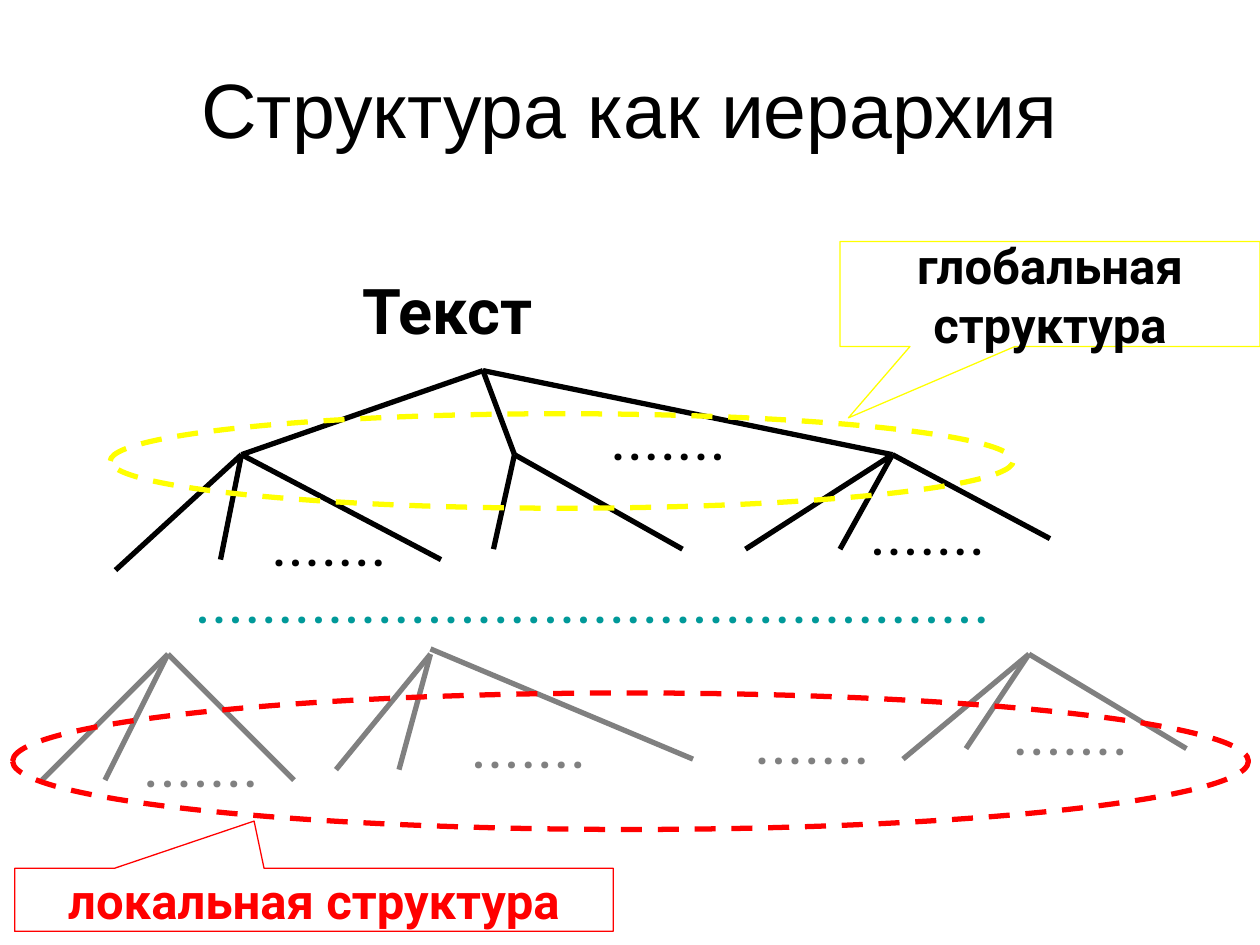
import pptx
import pptx.util
import pptx.dml.color
import pptx.enum.dml
import pptx.enum.shapes
import pptx.enum.text
import pptx.oxml

Pt = pptx.util.Pt
RGB = pptx.dml.color.RGBColor
Kind = pptx.enum.shapes.MSO_SHAPE
Anchor = pptx.enum.text.MSO_ANCHOR
BLACK = RGB(0x00, 0x00, 0x00)
GRAY = RGB(0x80, 0x80, 0x80)
TEAL = RGB(0x00, 0x99, 0x99)
YELLOW = RGB(0xFF, 0xFF, 0x00)
RED = RGB(0xFF, 0x00, 0x00)

deck = pptx.Presentation()
deck.slide_width = pptx.util.Inches(10)
deck.slide_height = pptx.util.Inches(7.5)
slide = deck.slides.add_slide(deck.slide_layouts[6])
shapes = slide.shapes

# The slide is a grid of 120 columns and 90 rows.
UNIT = deck.slide_width / 120
SHIFT = 0.3  # the tree's nodes lie this far below a grid row


def grid(*cells):
    return [round(cell * UNIT) for cell in cells]


def write(shape, text, size, color, bold=False, font="Roboto", before=0,
          anchor=Anchor.TOP):
    frame = shape.text_frame
    frame.word_wrap = True
    frame.vertical_anchor = anchor
    para = frame.paragraphs[0]
    para.alignment = pptx.enum.text.PP_ALIGN.CENTER
    para.space_before = Pt(before)
    run = para.add_run()
    run.text = text
    run.font.name = font
    run.font.size = Pt(size)
    run.font.bold = bold
    run.font.color.rgb = color


title = shapes.add_textbox(*grid(6, 5.9, 108, 8.8))
write(title, "Структура как иерархия", 44, BLACK, font="Arial",
      anchor=Anchor.MIDDLE)

root = shapes.add_textbox(*grid(20.6, 25.3, 44, 8.4))
write(root, "Текст", 36, BLACK, bold=True, before=22.5)

# Each fan: colour, top node, ends of its branches
fans = [
    (BLACK, (46, 35), [(23, 43), (49, 43), (85, 43)]),
    (BLACK, (23, 43), [(11, 54), (21, 53), (42, 53)]),
    (BLACK, (49, 43), [(47, 52), (65, 52)]),
    (BLACK, (85, 43), [(71, 52), (80, 52), (100, 51)]),
    (GRAY, (16, 62), [(4, 74), (10, 74), (28, 74)]),
    (GRAY, (41, 62), [(32, 73), (38, 73)]),
    (GRAY, (41, 61.5), [(66, 72)]),
    (GRAY, (98, 62), [(86, 72), (92, 71), (113, 71)]),
]
for color, (col, row), ends in fans:
    for x, y in ends:
        branch = shapes.add_connector(
            pptx.enum.shapes.MSO_CONNECTOR.STRAIGHT,
            *grid(col, row + SHIFT, x, y + SHIFT))
        branch.line.color.rgb = color
        branch.line.width = Pt(3)
        props = branch._element.spPr
        props.append(pptx.oxml.parse_xml(
            '<a:effectLst xmlns:a='
            '"http://schemas.openxmlformats.org/drawingml/2006/main"/>'))

# Each row of dots: left, top, width, count, colour
dots = [
    (55.3, 37.3, 16.7, 7, BLACK),
    (23, 47.4, 16.7, 7, BLACK),
    (80, 46.3, 16.7, 7, BLACK),
    (9, 52.8, 95, 48, TEAL),
    (69, 66.2, 16.7, 7, GRAY),
    (42, 66.6, 16.7, 7, GRAY),
    (10.8, 68.4, 16.7, 7, GRAY),
    (93.6, 65.4, 16.7, 7, GRAY),
]
for left, top, width, count, color in dots:
    box = shapes.add_textbox(*grid(left, top, width, 8.4))
    write(box, "." * count, 36, color, before=22.5)

# Each level: line colour, ring, callout, callout tip, wording, text colour
levels = [
    (YELLOW, (10.5, 39.4, 86, 9), (80, 23, 40, 10), (-0.48, 1.18),
     "глобальная структура", BLACK),
    (RED, (1.2, 66, 117.7, 13), (1.4, 82.7, 57, 6), (-0.1, -1.25),
     "локальная структура", RED),
]
for color, oval, note, tip, text, ink in levels:
    ring = shapes.add_shape(Kind.OVAL, *grid(*oval))
    ring.line.width = Pt(3)
    ring.line.dash_style = pptx.enum.dml.MSO_LINE.DASH
    label = shapes.add_shape(Kind.RECTANGULAR_CALLOUT, *grid(*note))
    label.adjustments[0], label.adjustments[1] = tip
    label.line.width = Pt(0.75)
    for shape in (ring, label):
        shape.shadow.inherit = False
        shape.fill.background()
        shape.line.color.rgb = color
    write(label, text, 28, ink, bold=True, anchor=Anchor.MIDDLE)

deck.save("out.pptx")
